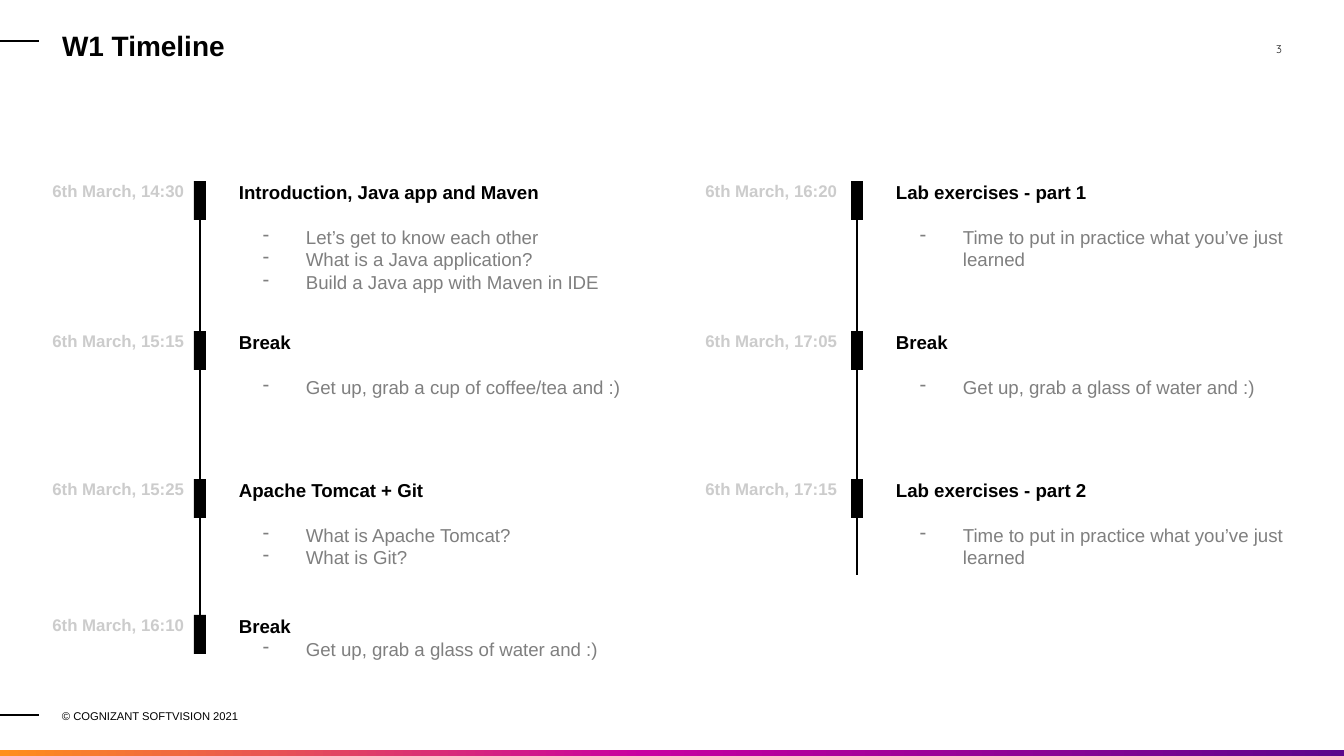
"""Build the W1 timeline slide with two columns of scheduled sessions."""

from copy import deepcopy
from dataclasses import dataclass

from pptx import Presentation
from pptx.dml.color import RGBColor
from pptx.enum.shapes import MSO_CONNECTOR, MSO_SHAPE
from pptx.enum.text import MSO_ANCHOR, PP_ALIGN
from pptx.oxml.ns import qn
from pptx.util import Emu, Pt
from lxml.etree import SubElement

EMU_PER_PX = 9144000 / 1344


def px(length):
    return Emu(round(length * EMU_PER_PX))


@dataclass(frozen=True)
class Theme:
    font: str = "Arial"
    number_font: str = "Quicksand"
    ink: str = "000000"
    number: str = "212121"
    date: str = "CCCCCC"
    detail: str = "7F7F7F"
    gradient: tuple = ((0, "5C068C"), (0.52, "C800A1"), (1, "FF8F1C"))
    title_size: float = 15
    body_size: float = 10
    date_size: float = 9
    small_size: float = 6
    heading_gap: float = 12


class TimelineSlide:
    def __init__(self, slide, theme):
        self.slide = slide
        self.theme = theme

    def prepare(self, frame, insets=(0, 0, 0, 0), anchor=MSO_ANCHOR.TOP):
        frame.word_wrap = True
        frame.vertical_anchor = anchor
        left, top, right, bottom = insets
        frame.margin_left, frame.margin_top = px(left), px(top)
        frame.margin_right, frame.margin_bottom = px(right), px(bottom)

    def run(self, paragraph, text, size, color, bold=False, font=None):
        run = paragraph.add_run()
        run.text = text
        run.font.name = font or self.theme.font
        run.font.size = Pt(size)
        run.font.bold = bold
        run.font.color.rgb = RGBColor.from_string(color)

    def title(self, text, left, top, width, height):
        shape = self.slide.shapes.title
        shape.left, shape.top = px(left), px(top)
        shape.width, shape.height = px(width), px(height)
        self.prepare(shape.text_frame, (0, 13, 13, 13), MSO_ANCHOR.MIDDLE)
        paragraph = shape.text_frame.paragraphs[0]
        paragraph.alignment = PP_ALIGN.LEFT
        self.run(paragraph, text, self.theme.title_size, self.theme.ink, True)

    def text_frame(self, left, top, width, height, **options):
        shape = self.slide.shapes.add_textbox(px(left), px(top), px(width), px(height))
        self.prepare(shape.text_frame, **options)
        return shape.text_frame

    def label(self, text, left, top, width, height, size, color,
              align=PP_ALIGN.RIGHT, anchor=MSO_ANCHOR.TOP, **style):
        frame = self.text_frame(left, top, width, height, anchor=anchor)
        paragraph = frame.paragraphs[0]
        paragraph.alignment = align
        self.run(paragraph, text, size, color, **style)

    def rectangle(self, left, top, width, height):
        shape = self.slide.shapes.add_shape(
            MSO_SHAPE.RECTANGLE, px(left), px(top), px(width), px(height))
        shape.shadow.inherit = False
        shape.line.fill.background()
        shape.fill.solid()
        shape.fill.fore_color.rgb = RGBColor.from_string(self.theme.ink)
        return shape

    def gradient_band(self, left, top, width, height):
        shape = self.rectangle(left, top, width, height)
        shape.fill.gradient()
        shape.fill.gradient_angle = 180
        stop_list = shape._element.spPr.find(".//" + qn("a:gsLst"))
        stop_list.append(deepcopy(stop_list[0]))
        for stop, (position, color) in zip(shape.fill.gradient_stops, self.theme.gradient):
            stop.position = position
            stop.color.rgb = RGBColor.from_string(color)

    def line(self, start_x, start_y, end_x, end_y, weight):
        connector = self.slide.shapes.add_connector(
            MSO_CONNECTOR.STRAIGHT, px(start_x), px(start_y), px(end_x), px(end_y))
        connector.line.color.rgb = RGBColor.from_string(self.theme.ink)
        connector.line.width = Pt(weight)
        SubElement(connector._element.spPr, qn("a:effectLst"))
        return connector

    def bullet(self, paragraph, text):
        properties = paragraph._p.get_or_add_pPr()
        properties.set("marL", str(px(67)))
        properties.set("indent", str(-px(43)))
        color = SubElement(SubElement(properties, qn("a:buClr")), qn("a:srgbClr"))
        color.set("val", self.theme.detail)
        SubElement(properties, qn("a:buChar")).set("char", "-")
        self.run(paragraph, text, self.theme.body_size, self.theme.detail)

    def session(self, heading, details, left, top, gap):
        frame = self.text_frame(left, top, 403, 95, insets=(13, 0, 0, 7))
        paragraph = frame.paragraphs[0]
        paragraph.space_after = Pt(gap)
        self.run(paragraph, heading, self.theme.body_size, self.theme.ink, True)
        for detail in details:
            self.bullet(frame.add_paragraph(), detail)

    def timeline(self, axis, line_top, line_bottom, date_left, date_width, sessions):
        theme = self.theme
        connector = self.line(axis, line_top, axis, line_bottom, 0.75)
        for top, date, heading, details, gap in sessions:
            marker = self.rectangle(axis - 6, top, 12, 39)
            if top == line_bottom:
                connector.end_connect(marker, 0)
            self.label(date, date_left, top, date_width, 27,
                       theme.date_size, theme.date, bold=True)
            self.session(heading, details, axis + 26, top, gap)


def main():
    theme = Theme()
    presentation = Presentation()
    presentation.slide_width, presentation.slide_height = px(1344), px(756)
    slide = presentation.slides.add_slide(presentation.slide_layouts[5])
    page = TimelineSlide(slide, theme)

    page.label("3", 1201, 42, 81, 58, theme.small_size, theme.number,
               font=theme.number_font)
    page.label("© COGNIZANT SOFTVISION 2021", 62, 705, 298, 22, theme.small_size,
               theme.ink, PP_ALIGN.LEFT, MSO_ANCHOR.MIDDLE)
    for rule_top in (41, 715):
        page.line(0, rule_top, 39, rule_top, 1.5)
    page.gradient_band(0, 750, 1344, 6)
    page.title("W1 Timeline", 62, 26, 1078, 39)

    gap = theme.heading_gap
    first, second, third, fourth = 181, 331, 479, 615
    lab = ["Time to put in practice what you’ve just learned"]
    water = ["Get up, grab a glass of water and :)"]
    page.timeline(200, 211, fourth, 35, 149, [
        (first, "6th March, 14:30", "Introduction, Java app and Maven",
         ["Let’s get to know each other", "What is a Java application?",
          "Build a Java app with Maven in IDE"], gap),
        (second, "6th March, 15:15", "Break",
         ["Get up, grab a cup of coffee/tea and :)"], gap),
        (third, "6th March, 15:25", "Apache Tomcat + Git",
         ["What is Apache Tomcat?", "What is Git?"], gap),
        (fourth, "6th March, 16:10", "Break", water, 0),
    ])
    page.timeline(857, 198, 575, 703, 134, [
        (first, "6th March, 16:20", "Lab exercises - part 1", lab, gap),
        (second, "6th March, 17:05", "Break", water, gap),
        (third, "6th March, 17:15", "Lab exercises - part 2", lab, gap),
    ])
    presentation.save("out.pptx")


if __name__ == "__main__":
    main()
